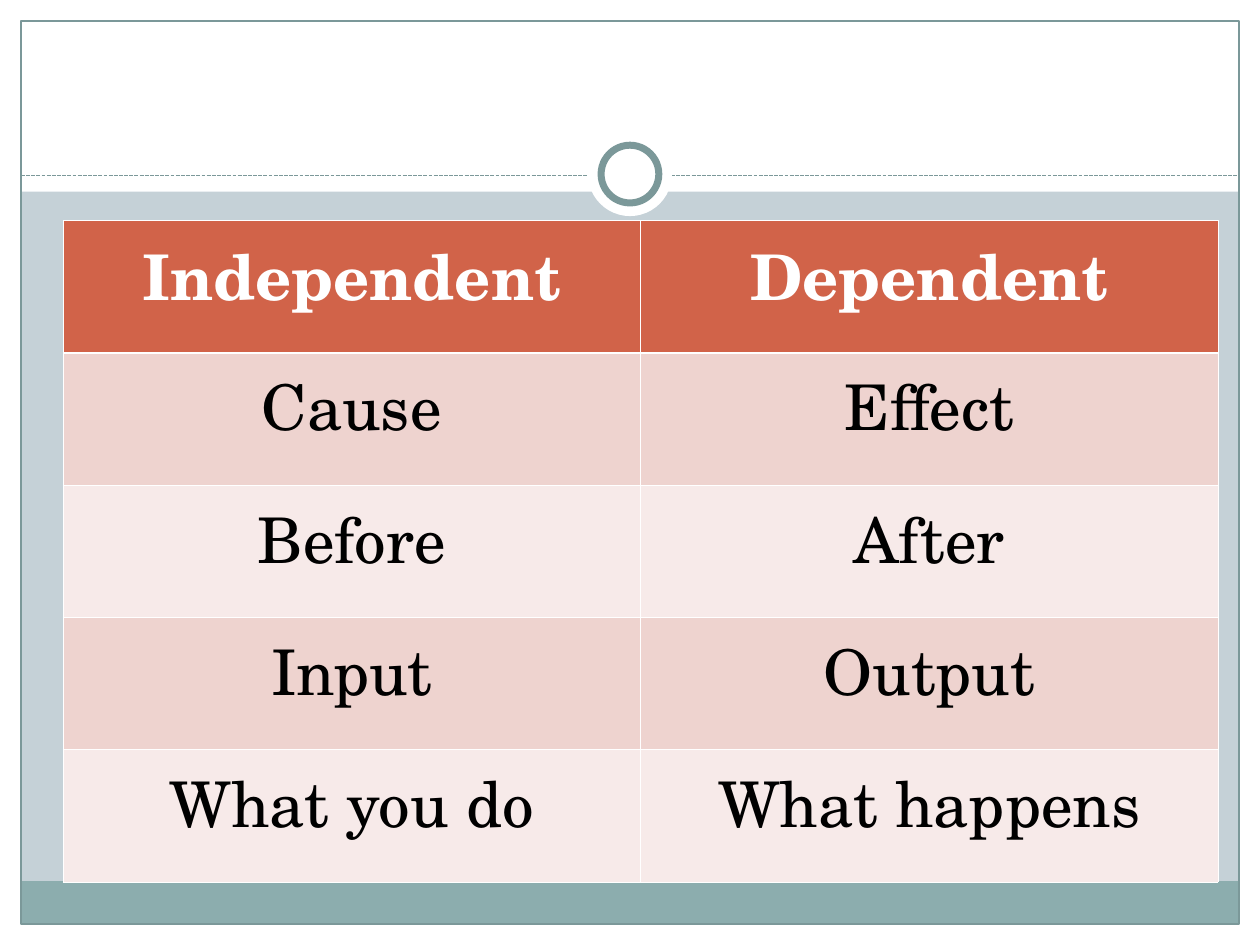
from lxml.etree import SubElement as Sub
from pptx import Presentation
from pptx.dml.color import RGBColor
from pptx.enum.dml import MSO_LINE_DASH_STYLE as Dash
from pptx.enum.shapes import MSO_CONNECTOR as Link, MSO_SHAPE as Kind
from pptx.enum.text import MSO_ANCHOR as Anchor, PP_ALIGN as Align
from pptx.oxml.ns import qn
from pptx.util import Pt

WIDE, HIGH, EDGE = 720, 540, 12
WHITE, BLACK, SLATE = "FFFFFF", "000000", "7B9899"
SKY, TEAL = "C5D1D7", "8CADAE"
RUST, ROSE, BLUSH = "D16349", "EED3CF", "F7EAE9"

ROWS = [
    ("Independent", "Dependent"),
    ("Cause", "Effect"),
    ("Before", "After"),
    ("Input", "Output"),
    ("What you do", "What happens"),
]


def color(code):
    return RGBColor.from_string(code)


def paint(fill, code):
    fill.solid()
    fill.fore_color.rgb = color(code)


def border(cell, side, width):
    """Draw one white edge of a cell; side is L, R, T or B."""
    line = Sub(cell._tc.get_or_add_tcPr(), qn(f"a:ln{side}"), w=str(Pt(width)))
    Sub(Sub(line, qn("a:solidFill")), qn("a:srgbClr"), val=WHITE)


class Page:
    """The current slide and the style of its text."""

    font, size = "TeX Gyre Schola", 36

    def __init__(self, slide, back):
        self.shapes = slide.shapes
        paint(slide.background.fill, back)

    def shape(self, kind, box, fill=None, line=None, width=0.75):
        item = self.shapes.add_shape(kind, *map(Pt, box))
        item.shadow.inherit = False
        if fill:
            paint(item.fill, fill)
        else:
            item.fill.background()
        if line:
            item.line.color.rgb = color(line)
            item.line.width = Pt(width)
        else:
            item.line.fill.background()

    def ring(self, mid, top, size, **look):
        """Place a circle centred on mid, top."""
        box = (mid - size / 2, top - size / 2, size, size)
        self.shape(Kind.OVAL, box, **look)

    def rule(self, left, right, top):
        item = self.shapes.add_connector(Link.STRAIGHT, Pt(left), Pt(top), Pt(right), Pt(top))
        item.line.color.rgb = color(SLATE)
        item.line.width = Pt(0.75)
        item.line.dash_style = Dash.SQUARE_DOT
        dash = item.line._get_or_add_ln().find(qn("a:prstDash"))
        dash.set("val", "sysDash")
        Sub(item._element.spPr, qn("a:effectLst"))

    def cell(self, cell, text, row):
        for side in "LRTB":
            thick = (row, side) in ((0, "B"), (1, "T"))
            border(cell, side, 1.47 if thick else 0.45)
        head = row == 0
        paint(cell.fill, RUST if head else ROSE if row % 2 else BLUSH)
        cell.vertical_anchor = Anchor.TOP
        par = cell.text_frame.paragraphs[0]
        par.alignment = Align.CENTER
        run = par.add_run()
        run.text = text
        run.font.name, run.font.size = self.font, Pt(self.size)
        run.font.bold = head
        run.font.color.rgb = color(WHITE if head else BLACK)

    def table(self, rows, box):
        grid = self.shapes.add_table(len(rows), len(rows[0]), *map(Pt, box)).table
        for row, words in enumerate(rows):
            for col, text in enumerate(words):
                self.cell(grid.cell(row, col), text, row)


def main():
    deck = Presentation()
    deck.slide_width, deck.slide_height = Pt(WIDE), Pt(HIGH)
    page = Page(deck.slides.add_slide(deck.slide_layouts[6]), SKY)

    inner = WIDE - 2 * EDGE
    margins = [
        (0, HIGH - EDGE, WIDE, EDGE),
        (0, 0, WIDE, 109.5),
        (0, 0, EDGE, HIGH),
        (WIDE - EDGE, 0, EDGE, HIGH),
    ]
    for box in margins:
        page.shape(Kind.RECTANGLE, box, fill=WHITE)
    page.shape(Kind.RECTANGLE, (EDGE, 503.5, inner, 24.5), fill=TEAL)
    page.shape(Kind.RECTANGLE, (EDGE, EDGE, inner, HIGH - 2 * EDGE), line=SLATE)
    page.rule(EDGE, WIDE - EDGE, 100.5)
    page.ring(WIDE / 2, 99.5, 48, fill=WHITE)
    page.ring(WIDE / 2, 99.5, 33, fill=WHITE, line=SLATE, width=4)
    page.table(ROWS, (36, 126, 660, 378))
    deck.save("out.pptx")


if __name__ == "__main__":
    main()
